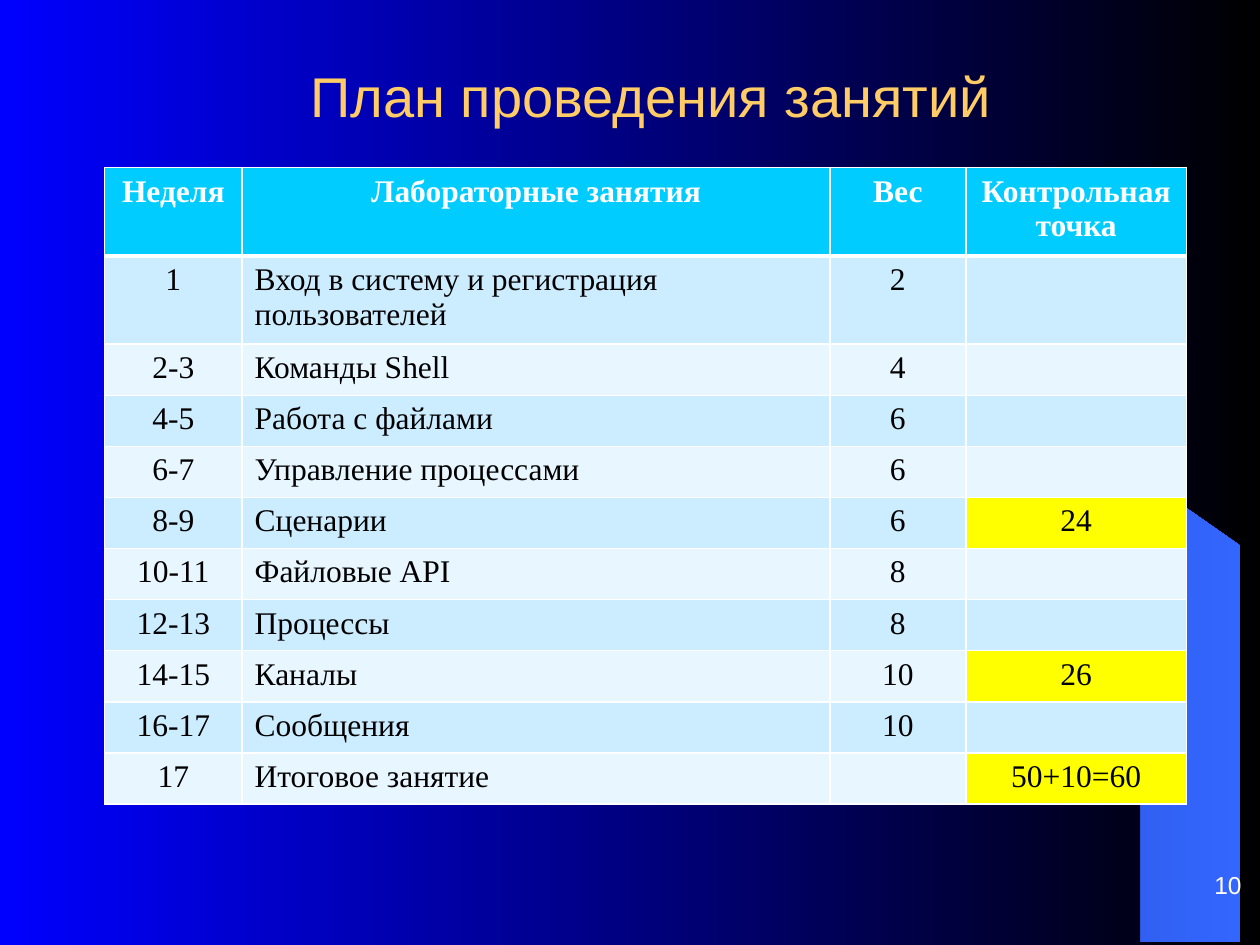
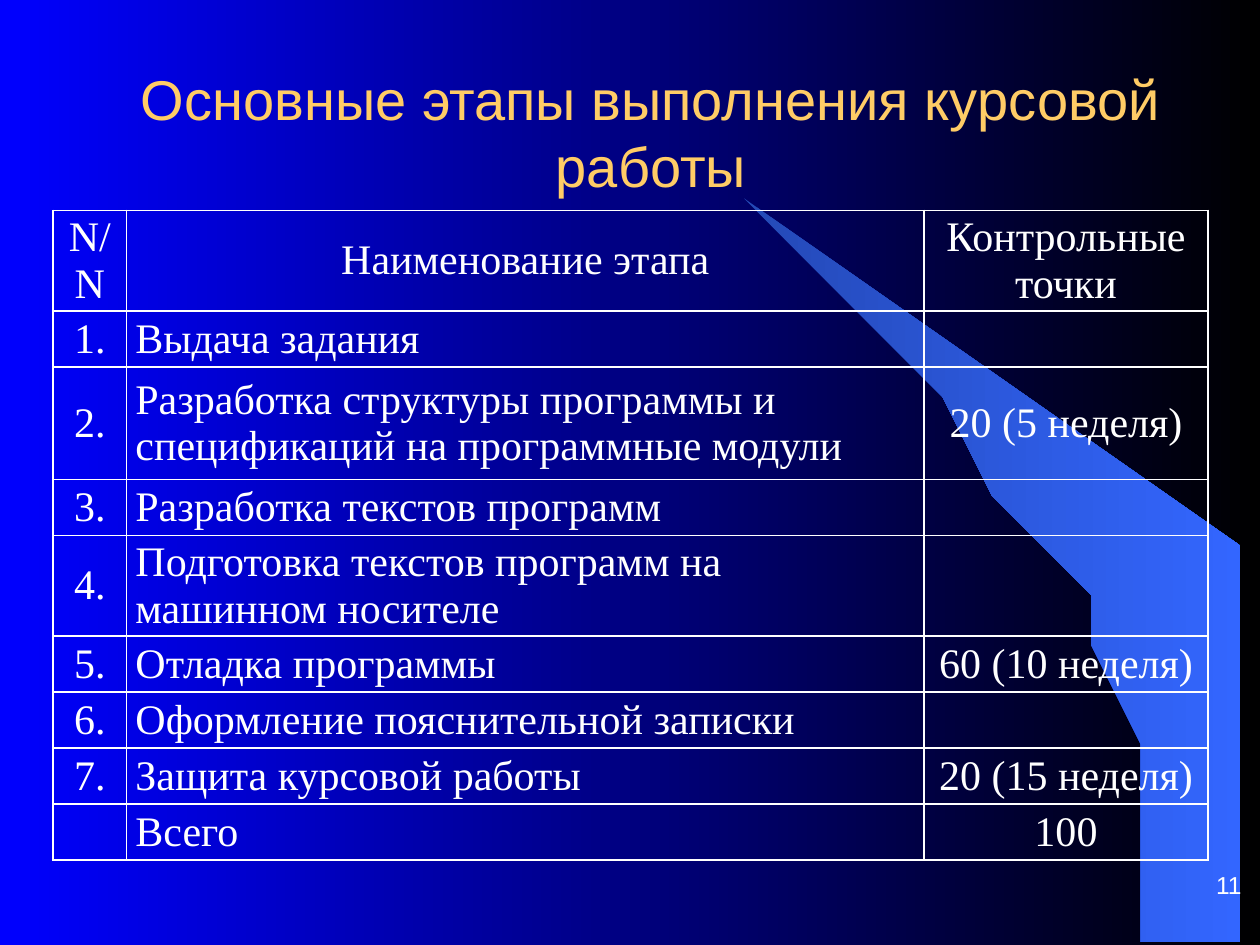
from lxml.etree import SubElement
from pptx import Presentation
from pptx.dml.color import RGBColor
from pptx.enum.text import MSO_ANCHOR as Anchor, PP_ALIGN as Align
from pptx.oxml.ns import qn
from pptx.util import Cm, Pt

BLUE = RGBColor(0x00, 0x00, 0xFF)
BLACK = RGBColor(0x00, 0x00, 0x00)
WHITE = RGBColor(0xFF, 0xFF, 0xFF)
GOLD = RGBColor(0xFF, 0xCC, 0x66)
ARC_DARK = RGBColor(0x24, 0x49, 0xB6)
ARC_LIGHT = RGBColor(0x33, 0x66, 0xFF)
HEADER_CYAN = RGBColor(0x00, 0xCC, 0xFF)
BAND_DARK = RGBColor(0xCC, 0xEC, 0xFF)
BAND_LIGHT = RGBColor(0xE7, 0xF6, 0xFF)
YELLOW = RGBColor(0xFF, 0xFF, 0x00)

TITLE_FONT = "Arial"
TABLE_FONT = "Times New Roman"

ARC_POINTS = [
    (23.37, 19), (25.37, 19.02), (25.37, 10.74), (14.96, 4.39), (15.85, 5.05),
    (16.59, 5.64), (17.4, 6.35), (18.19, 7.11), (19.35, 8.38), (20.4, 9.75),
    (21.13, 10.95), (21.79, 12.17), (22.3, 13.41), (22.68, 14.53),
    (22.94, 15.47), (23.19, 16.66), (23.29, 17.68),
]

LESSONS = [
    ("Неделя", "Лабораторные занятия", "Вес", "Контрольная точка"),
    ("1", "Вход в систему и регистрация пользователей", "2", ""),
    ("2-3", "Команды Shell", "4", ""),
    ("4-5", "Работа с файлами", "6", ""),
    ("6-7", "Управление процессами", "6", ""),
    ("8-9", "Сценарии", "6", "24"),
    ("10-11", "Файловые API", "8", ""),
    ("12-13", "Процессы", "8", ""),
    ("14-15", "Каналы", "10", "26"),
    ("16-17", "Сообщения", "10", ""),
    ("17", "Итоговое занятие", "", "50+10=60"),
]

STAGES = [
    ("N/N", "Наименование этапа", "Контрольные точки"),
    ("1.", "Выдача задания", ""),
    ("2.", "Разработка структуры программы и спецификаций на программные модули", "20 (5 неделя)"),
    ("3.", "Разработка текстов программ", ""),
    ("4.", "Подготовка текстов программ на машинном носителе", ""),
    ("5.", "Отладка программы", "60 (10 неделя)"),
    ("6.", "Оформление пояснительной записки", ""),
    ("7.", "Защита курсовой работы", "20 (15 неделя)"),
    ("", "Всего", "100"),
]

PAGES = [
    {
        "title": "План проведения занятий", "title_height": 1.7, "number": "10",
        "rows": LESSONS, "left": 2.11, "top": 3.38,
        "widths": [2.77, 11.85, 2.74, 4.45],
        "heights": [1.66, 1.66] + [1.03] * 9,
        "size": 18, "banded": True,
    },
    {
        "title": "Основные этапы выполнения курсовой работы", "title_height": 3.18, "number": "11",
        "rows": STAGES, "left": 1.07, "top": 4.24,
        "widths": [1.48, 16.08, 5.72],
        "heights": [1.9, 1.13, 2.26, 1.13, 1.88] + [1.13] * 4,
        "size": 24, "banded": False,
    },
]


def add_label(slide, text, box, size, color, align, anchor, margin):
    frame = slide.shapes.add_textbox(*[Cm(length) for length in box]).text_frame
    frame.word_wrap = True
    frame.vertical_anchor = anchor
    frame.margin_top = frame.margin_bottom = Cm(margin)
    paragraph = frame.paragraphs[0]
    paragraph.text = text
    paragraph.alignment = align
    paragraph.font.name = TITLE_FONT
    paragraph.font.size = Pt(size)
    paragraph.font.color.rgb = color


def set_gradient(fill, start, end):
    fill.gradient()
    fill.gradient_angle = 0
    for stop, color, position in zip(fill.gradient_stops, (start, end), (0, 1)):
        stop.color.rgb = color
        stop.position = position


presentation = Presentation()
presentation.slide_width = Cm(25.4)
presentation.slide_height = Cm(19.05)
set_gradient(presentation.slide_master.background.fill, BLUE, BLACK)

for page in PAGES:
    slide = presentation.slides.add_slide(presentation.slide_layouts[6])

    builder = slide.shapes.build_freeform(*ARC_POINTS[0], scale=Cm(1))
    builder.add_line_segments(ARC_POINTS[1:], close=True)
    arc = builder.convert_to_shape()
    arc.shadow.inherit = False
    arc.line.fill.background()
    set_gradient(arc.fill, ARC_DARK, ARC_LIGHT)

    add_label(slide, page["title"], (1.9, 1.07, 22.45, page["title_height"]),
              32, GOLD, Align.CENTER, Anchor.MIDDLE, 0.13)

    rows, widths, heights, banded = page["rows"], page["widths"], page["heights"], page["banded"]
    table = slide.shapes.add_table(
        len(rows), len(widths), Cm(page["left"]), Cm(page["top"]),
        Cm(sum(widths)), Cm(sum(heights))).table
    table.first_row = banded
    table.horz_banding = False
    for column, width in zip(table.columns, widths):
        column.width = Cm(width)

    for row_index, values in enumerate(rows):
        table.rows[row_index].height = Cm(heights[row_index])
        is_header = row_index == 0
        for column_index, value in enumerate(values):
            cell = table.cell(row_index, column_index)
            properties = cell._tc.get_or_add_tcPr()
            for side in ("lnL", "lnR", "lnT", "lnB"):
                thick = banded and (row_index, side) in ((0, "lnB"), (1, "lnT"))
                border = SubElement(properties, qn(f"a:{side}"), w=str(Pt(3 if thick else 1)))
                border_fill = SubElement(border, qn("a:solidFill"))
                SubElement(border_fill, qn("a:srgbClr"), val=str(WHITE))

            paragraph = cell.text_frame.paragraphs[0]
            if banded:
                cell.fill.solid()
                if is_header:
                    cell.fill.fore_color.rgb = HEADER_CYAN
                elif column_index == 3 and value:
                    cell.fill.fore_color.rgb = YELLOW
                else:
                    cell.fill.fore_color.rgb = BAND_DARK if row_index % 2 else BAND_LIGHT
            else:
                cell.fill.background()
                cell.vertical_anchor = Anchor.MIDDLE
                cell.margin_left = cell.margin_right = Cm(0.18)
                cell.margin_top = cell.margin_bottom = 0
                paragraph.space_before = Pt(6)

            paragraph.text = value
            paragraph.alignment = Align.LEFT if column_index == 1 and not is_header else Align.CENTER
            paragraph.font.name = TABLE_FONT
            paragraph.font.size = Pt(page["size"])
            paragraph.font.bold = banded and is_header
            paragraph.font.color.rgb = BLACK if banded and not is_header else WHITE

    add_label(slide, page["number"], (20, 17.07, 5.28, 1.07),
              14, WHITE, Align.RIGHT, Anchor.BOTTOM, 0)

presentation.save("out.pptx")
